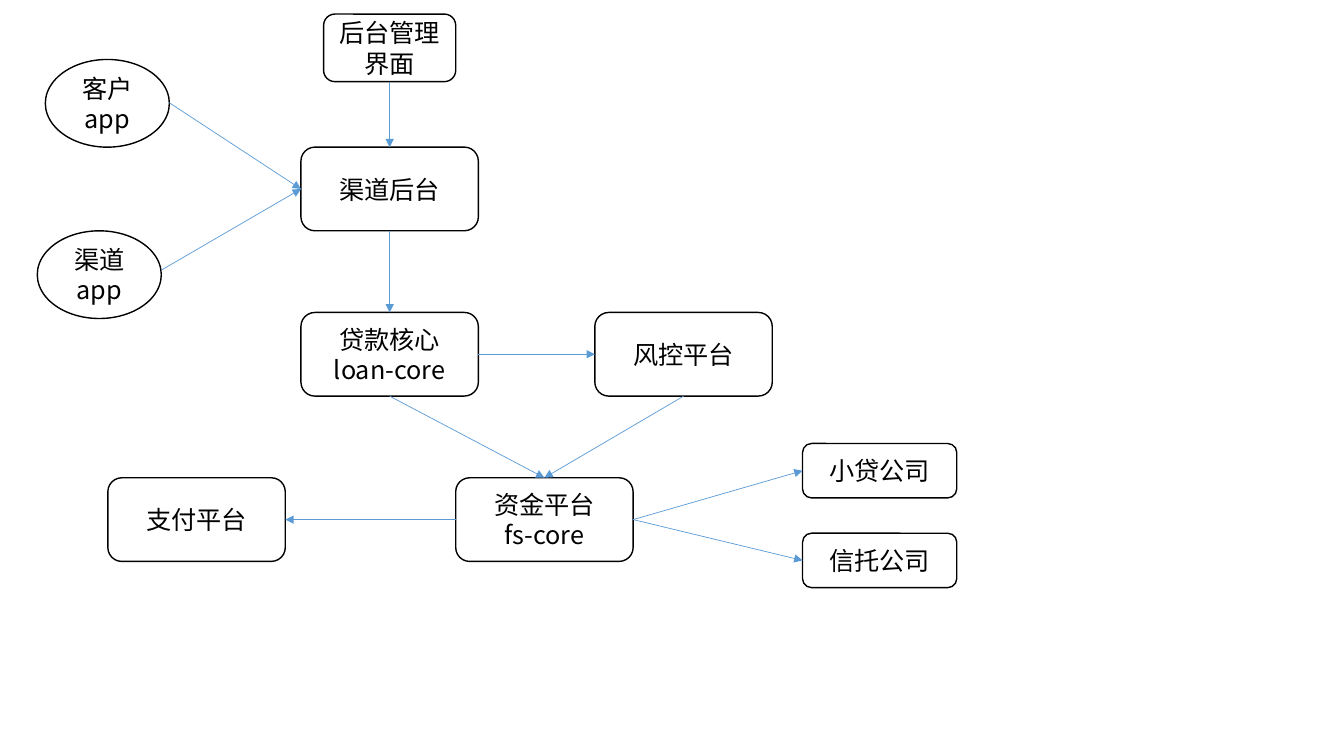
import pptx
import pptx.dml.color
import pptx.enum.shapes
import pptx.enum.text
import pptx.oxml.ns
import pptx.util
from lxml import etree

Inches = pptx.util.Inches
Kind = pptx.enum.shapes.MSO_SHAPE
BLACK = pptx.dml.color.RGBColor(0x00, 0x00, 0x00)
WHITE = pptx.dml.color.RGBColor(0xFF, 0xFF, 0xFF)
BLUE = pptx.dml.color.RGBColor(0x5B, 0x9B, 0xD5)
FONT = "Noto Sans CJK SC"
TOP, LEFT, BOTTOM, RIGHT = range(4)

MAIN, APP, ADMIN, COMPANY = (1.76, 0.83), (1.23, 0.87), (1.31, 0.67), (1.53, 0.54)
# Main rows share one pitch; the centre column is aligned on its axis.
ROWS = [1.46 + 1.64 * row for row in range(3)]
AXIS = 3.865
MAIN_LEFT = AXIS - MAIN[0] / 2

NODES = {
    "channel": ("渠道后台", MAIN_LEFT, ROWS[0], MAIN),
    "loan": ("贷款核心\nloan-core", MAIN_LEFT, ROWS[1], MAIN),
    "channel_app": ("渠道app", 0.37, 2.29, APP),
    "client_app": ("客户app", 0.45, 0.59, APP),
    "admin": ("后台管理界面", AXIS - ADMIN[0] / 2, 0.14, ADMIN),
    "risk": ("风控平台", 5.9, ROWS[1], MAIN),
    "funds": ("资金平台\nfs-core", 4.52, ROWS[2], MAIN),
    "payment": ("支付平台", 1.07, ROWS[2], MAIN),
    "microloan": ("小贷公司", 7.96, 4.4, COMPANY),
    "trust": ("信托公司", 7.96, 5.29, COMPANY),
}
LINKS = [
    ("admin", BOTTOM, "channel", TOP),
    ("channel", BOTTOM, "loan", TOP),
    ("loan", RIGHT, "risk", LEFT),
    ("loan", BOTTOM, "funds", TOP),
    ("risk", BOTTOM, "funds", TOP),
    ("funds", LEFT, "payment", RIGHT),
    ("funds", RIGHT, "microloan", LEFT),
    ("funds", RIGHT, "trust", LEFT),
]
# Height on each ellipse at which its arrow starts.
APP_STARTS = {"client_app": 0.43, "channel_app": 0.39}


def write_text(frame, text, size=18, color=BLACK, font=FONT):
    """Fill a text frame with centred paragraphs, one per line."""
    frame.word_wrap = True
    frame.vertical_anchor = pptx.enum.text.MSO_ANCHOR.MIDDLE
    for index, line in enumerate(text.split("\n")):
        para = frame.add_paragraph() if index else frame.paragraphs[0]
        para.alignment = pptx.enum.text.PP_ALIGN.CENTER
        span = para.add_run()
        span.text = line
        span.font.size = pptx.util.Pt(size)
        span.font.name = font
        span.font.color.rgb = color
        east = etree.SubElement(span.font._element, pptx.oxml.ns.qn("a:ea"))
        east.set("typeface", font)


def add_node(page, box, kind, text):
    """Draw an outlined white node filling the box."""
    node = page.shapes.add_shape(kind, *map(Inches, box))
    node.shadow.inherit = False
    node.fill.solid()
    node.fill.fore_color.rgb = WHITE
    node.line.color.rgb = BLACK
    node.line.width = pptx.util.Pt(1)
    write_text(node.text_frame, text)
    return node


def add_arrow(page, start, target, side):
    """Draw a thin arrow from a point to a side of the target."""
    arrow = page.shapes.add_connector(
        pptx.enum.shapes.MSO_CONNECTOR.STRAIGHT, *start, target.left, target.top)
    arrow.end_connect(target, side)
    arrow.line.color.rgb = BLUE
    arrow.line.width = pptx.util.Pt(0.5)
    head = etree.SubElement(arrow.line._get_or_add_ln(), pptx.oxml.ns.qn("a:tailEnd"))
    head.set("type", "triangle")
    etree.SubElement(arrow._element.spPr, pptx.oxml.ns.qn("a:effectLst"))
    return arrow


def draw_architecture(page, box):
    """Draw the loan system's nodes and arrows from the box's top left corner."""
    left, top = box[:2]
    nodes = {}
    for name, (text, x, y, size) in NODES.items():
        kind = Kind.OVAL if name in APP_STARTS else Kind.ROUNDED_RECTANGLE
        nodes[name] = add_node(page, (left + x, top + y, *size), kind, text)
    for name, drop in APP_STARTS.items():
        app = nodes[name]
        start = (app.left + app.width, app.top + Inches(drop))
        add_arrow(page, start, nodes["channel"], LEFT)
    for source, exit_side, target, entry_side in LINKS:
        origin = nodes[source]
        arrow = add_arrow(page, (origin.left, origin.top), nodes[target], entry_side)
        arrow.begin_connect(origin, exit_side)


deck = pptx.Presentation()
deck.slide_width, deck.slide_height = Inches(13.33), Inches(7.5)
page = deck.slides.add_slide(deck.slide_layouts[6])
draw_architecture(page, (0, 0, 13.33, 7.5))
deck.save("out.pptx")
